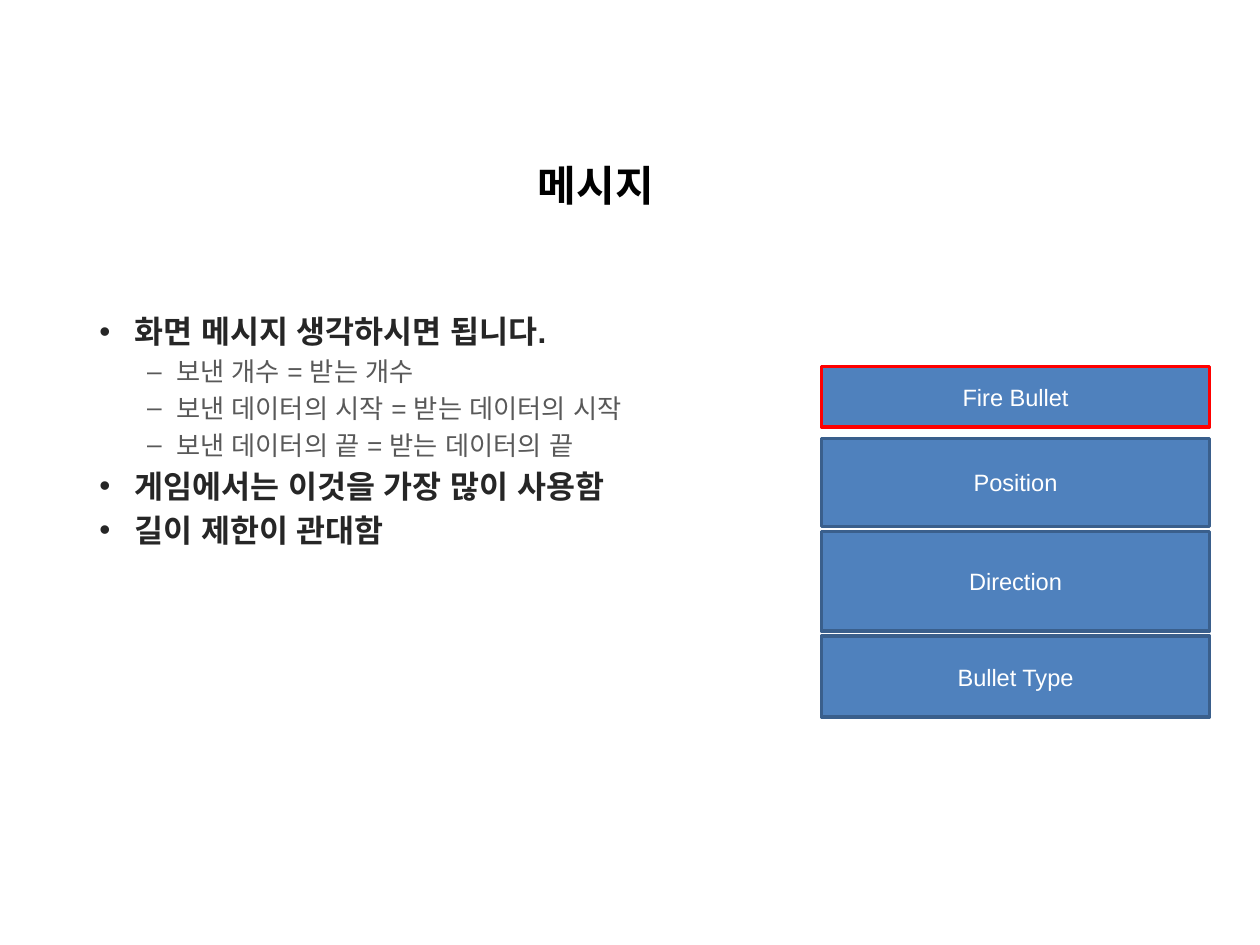
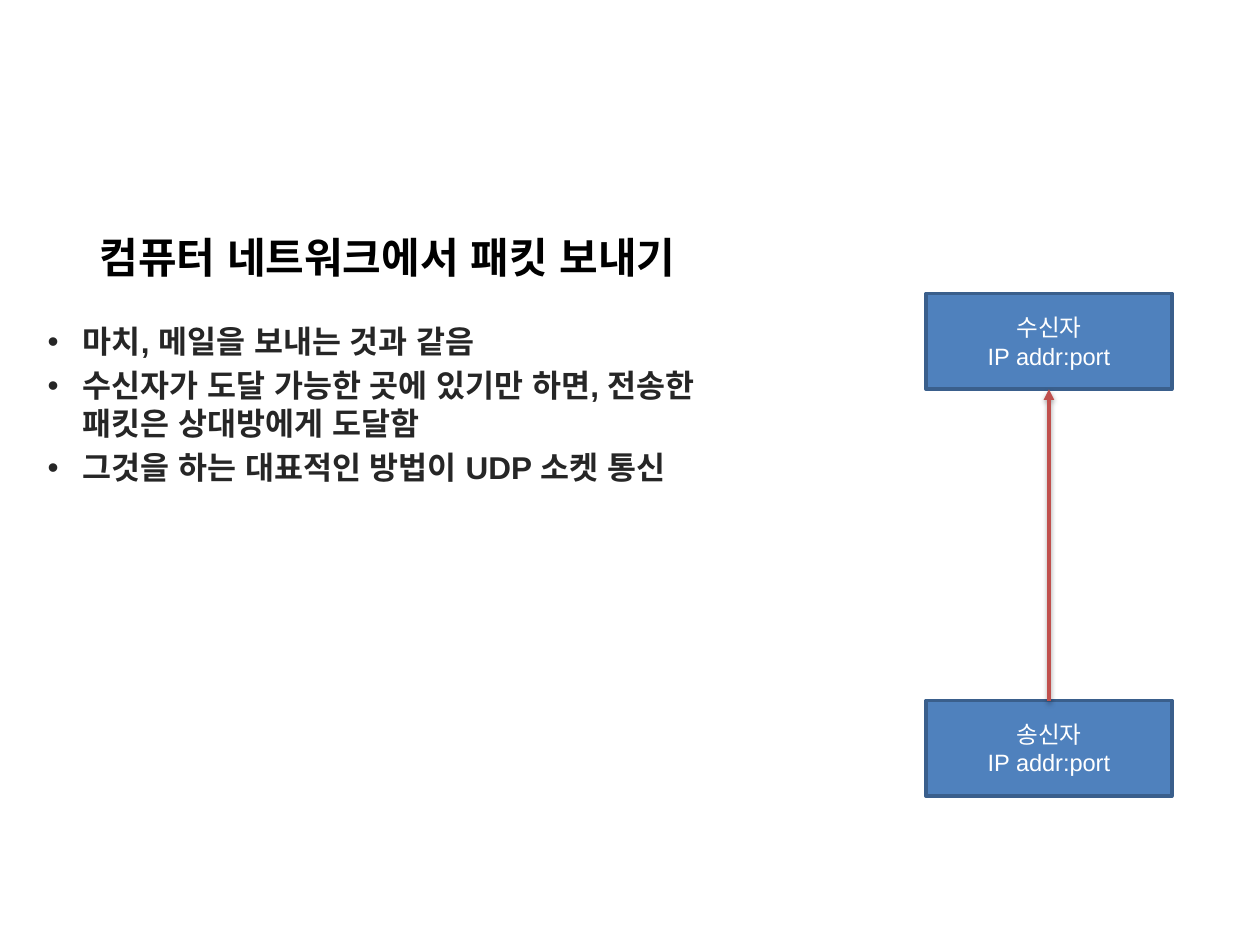
from dataclasses import dataclass

from lxml import etree
from pptx import Presentation
from pptx.dml.color import RGBColor
from pptx.enum.shapes import MSO_CONNECTOR, MSO_SHAPE
from pptx.enum.text import MSO_ANCHOR, PP_ALIGN
from pptx.oxml.ns import qn
from pptx.util import Inches, Pt

RECTANGLE = MSO_SHAPE.RECTANGLE
STRAIGHT = MSO_CONNECTOR.STRAIGHT
CENTER, LEFT = PP_ALIGN.CENTER, PP_ALIGN.LEFT
MIDDLE, TOP = MSO_ANCHOR.MIDDLE, MSO_ANCHOR.TOP

# The grid has 100 columns and 75 rows, each a tenth of an inch
COLUMNS, ROWS = 100, 75
TOP_SITE, BOTTOM_SITE = 0, 2


@dataclass(frozen=True)
class Theme:
    font: str = "Arial"
    title: str = "000000"
    body: str = "262626"
    detail: str = "595959"
    block: str = "4F81BD"
    block_edge: str = "3A5F8C"
    block_text: str = "FFFFFF"
    highlight: str = "FF0000"
    arrow: str = "C0504D"
    title_size: float = 24
    body_size: float = 18
    detail_size: float = 15
    block_size: float = 13.5
    line_width: float = 2


@dataclass(frozen=True)
class BulletLevel:
    mark: str
    size: float
    color: str
    bold: bool
    indent: float
    hanging: float


THEME = Theme()
LEVELS = (
    BulletLevel("•", THEME.body_size, THEME.body, True, 0.28, 0.28),
    BulletLevel("–", THEME.detail_size, THEME.detail, False, 0.61, 0.23),
)


def add_child(parent, tag, **attributes):
    child = etree.SubElement(parent, qn(tag))
    for name, value in attributes.items():
        child.set(name, str(value))
    return child


def write(paragraph, text, *, size, color, bold=False, align=LEFT, space_before=0):
    """Put formatted text into one paragraph."""
    paragraph.alignment = align
    paragraph.space_before = Pt(space_before)
    run = paragraph.add_run()
    run.text = text
    run.font.name = THEME.font
    run.font.size = Pt(size)
    run.font.bold = bold
    run.font.color.rgb = RGBColor.from_string(color)
    # Korean text takes the same font
    add_child(run._r.get_or_add_rPr(), "a:ea", typeface=THEME.font)


class Deck:
    def __init__(self, theme):
        self.theme = theme
        self.file = Presentation()
        self.file.slide_width = Inches(10)
        self.file.slide_height = Inches(7.5)
        self.slide = None

    def new_slide(self):
        self.slide = self.file.slides.add_slide(self.file.slide_layouts[6])

    def place(self, column, row, columns, rows):
        """Turn grid units into slide lengths."""
        width, height = self.file.slide_width, self.file.slide_height
        return (round(column * width / COLUMNS), round(row * height / ROWS),
                round(columns * width / COLUMNS), round(rows * height / ROWS))

    def text_frame(self, area, anchor):
        frame = self.slide.shapes.add_textbox(*self.place(*area)).text_frame
        frame.word_wrap = True
        frame.vertical_anchor = anchor
        return frame

    def title(self, text, area):
        frame = self.text_frame(area, MIDDLE)
        write(frame.paragraphs[0], text, size=self.theme.title_size,
              color=self.theme.title, bold=True, align=CENTER)

    def bullets(self, items, area):
        """Draw (level, text) pairs as a bulleted list."""
        frame = self.text_frame(area, TOP)
        for index, (depth, text) in enumerate(items):
            paragraph = frame.add_paragraph() if index else frame.paragraphs[0]
            level = LEVELS[depth]
            paragraph.level = depth
            write(paragraph, text, size=level.size, color=level.color,
                  bold=level.bold, space_before=level.size * 0.2)
            properties = paragraph._p.get_or_add_pPr()
            properties.set("marL", str(Inches(level.indent)))
            properties.set("indent", str(-Inches(level.hanging)))
            add_child(properties, "a:buFont", typeface=self.theme.font)
            add_child(properties, "a:buChar", char=level.mark)

    def block(self, lines, area, edge=None):
        shape = self.slide.shapes.add_shape(RECTANGLE, *self.place(*area))
        shape.shadow.inherit = False
        shape.fill.solid()
        shape.fill.fore_color.rgb = RGBColor.from_string(self.theme.block)
        shape.line.color.rgb = RGBColor.from_string(edge or self.theme.block_edge)
        shape.line.width = Pt(self.theme.line_width)
        frame = shape.text_frame
        frame.word_wrap = True
        frame.vertical_anchor = MIDDLE
        for index, text in enumerate(lines):
            paragraph = frame.add_paragraph() if index else frame.paragraphs[0]
            write(paragraph, text, size=self.theme.block_size,
                  color=self.theme.block_text, align=CENTER)
        return shape

    def arrow_up(self, source, target):
        """Join the top of source to the bottom of target."""
        arrow = self.slide.shapes.add_connector(STRAIGHT, 0, 0, 0, 0)
        arrow.begin_connect(source, TOP_SITE)
        arrow.end_connect(target, BOTTOM_SITE)
        arrow.line.color.rgb = RGBColor.from_string(self.theme.arrow)
        arrow.line.width = Pt(self.theme.line_width)
        add_child(arrow.line._get_or_add_ln(), "a:tailEnd", type="triangle")
        # Soft shadow straight below the line
        effects = add_child(arrow._element.spPr, "a:effectLst")
        shadow = add_child(effects, "a:outerShdw", blurRad=Pt(3.1), dist=Pt(1.6),
                           dir=90 * 60000, rotWithShape=0)
        black = add_child(shadow, "a:srgbClr", val="000000")
        add_child(black, "a:alpha", val=38000)


def message_slide(deck):
    deck.new_slide()
    deck.title("메시지", (2.8, 10.7, 89, 7.9))
    deck.bullets([
        (0, "화면 메시지 생각하시면 됩니다."),
        (1, "보낸 개수 = 받는 개수"),
        (1, "보낸 데이터의 시작 = 받는 데이터의 시작"),
        (1, "보낸 데이터의 끝 = 받는 데이터의 끝"),
        (0, "게임에서는 이것을 가장 많이 사용함"),
        (0, "길이 제한이 관대함"),
    ], (6.9, 24.3, 57.1, 35.7))

    # Message header, then its fields stacked with equal gaps
    left, width, gap = 65.2, 30.8, 0.4
    deck.block(["Fire Bullet"], (left, 29.1, width, 4.8), edge=deck.theme.highlight)
    top = 34.8
    for field, height in (("Position", 7), ("Direction", 7.9), ("Bullet Type", 6.4)):
        deck.block([field], (left, top, width, height))
        top += height + gap


def packet_slide(deck):
    deck.new_slide()
    deck.title("컴퓨터 네트워크에서 패킷 보내기", (2.8, 17.4, 55.9, 5.9))
    deck.bullets([
        (0, "마치, 메일을 보내는 것과 같음"),
        (0, "수신자가 도달 가능한 곳에 있기만 하면, 전송한 패킷은 상대방에게 도달함"),
        (0, "그것을 하는 대표적인 방법이 UDP 소켓 통신"),
    ], (2.8, 25.1, 59.2, 36))

    # Sender below, receiver above, packet going up
    sender, receiver = (
        deck.block([role, "IP addr:port"], (73.5, top, 19.5, 7.6))
        for role, top in (("송신자", 55.6), ("수신자", 23.3))
    )
    deck.arrow_up(sender, receiver)


def main():
    deck = Deck(THEME)
    message_slide(deck)
    packet_slide(deck)
    deck.file.save("out.pptx")


if __name__ == "__main__":
    main()
